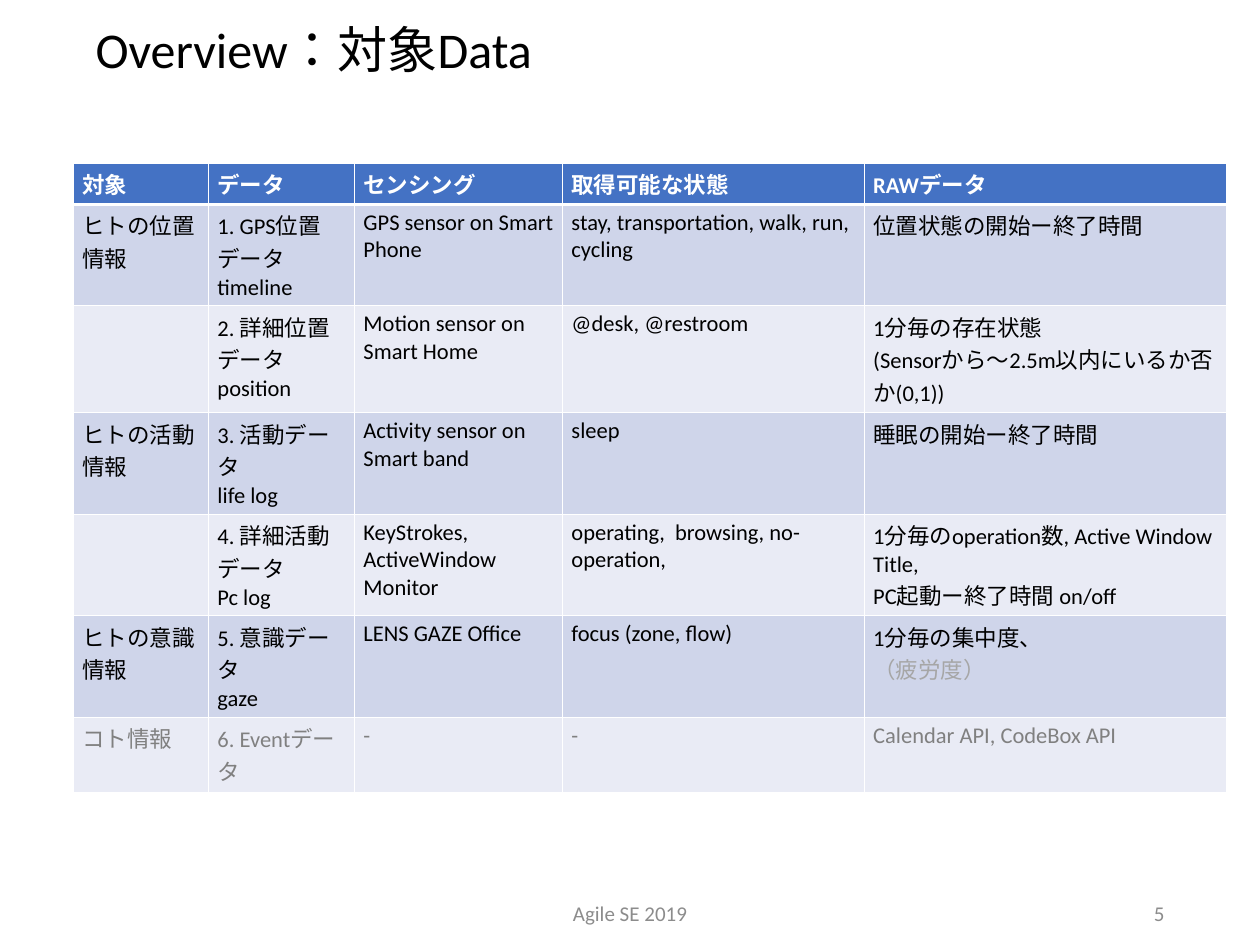
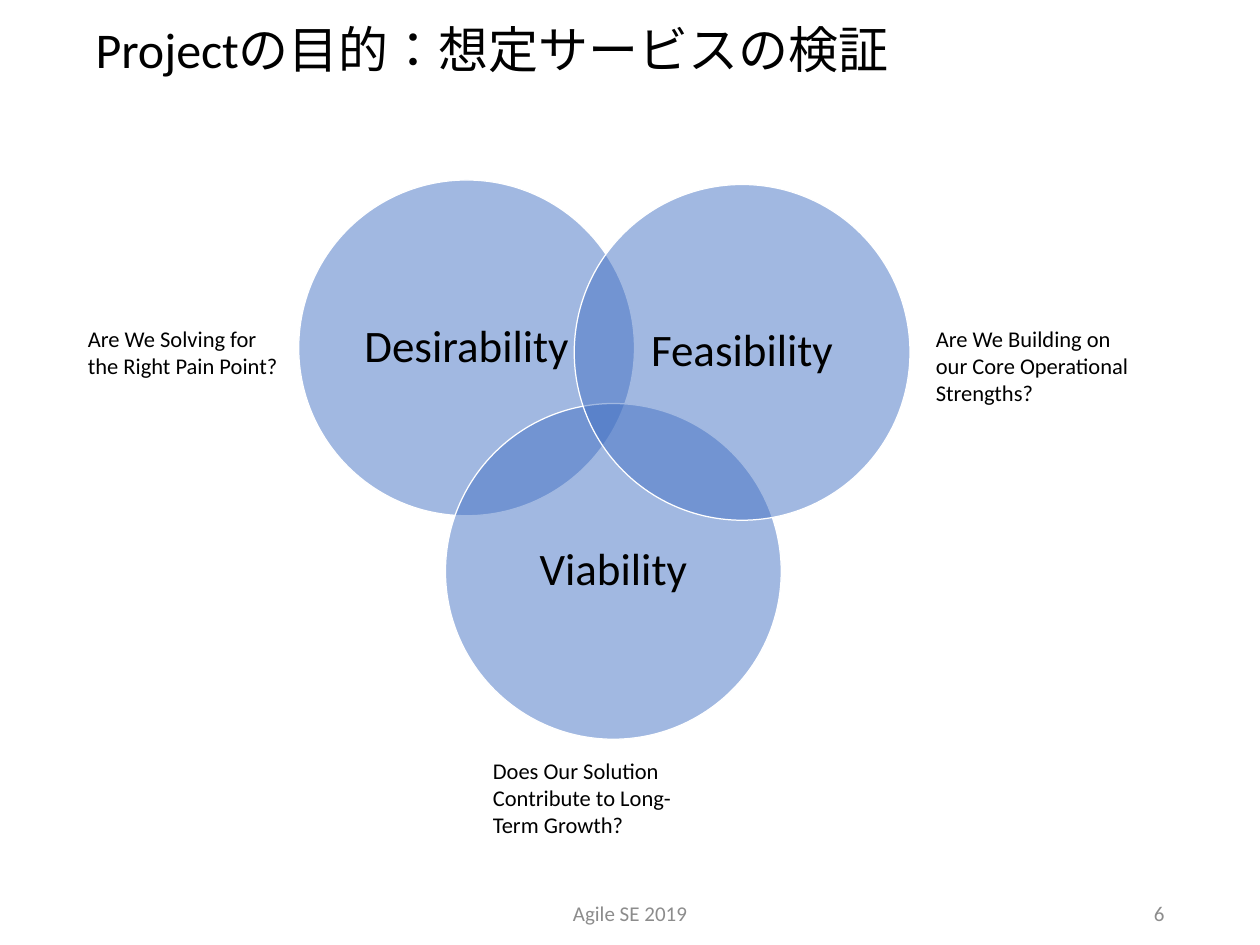
from lxml import etree
from pptx import Presentation
from pptx.dml.color import RGBColor
from pptx.enum import lang, shapes, text
from pptx.oxml.ns import qn
from pptx.util import Pt

FONT = "Calibri"
BLACK, WHITE, BLUE = "000000", "FFFFFF", "4472C4"
BANDS = ["CFD5EA", "E9EBF5"]
FOOTER_GREY, ROW_GREY, PALE_GREY = "8C8C8C", "808080", "A6A6A6"

LEFT, CENTER, RIGHT = text.PP_ALIGN.LEFT, text.PP_ALIGN.CENTER, text.PP_ALIGN.RIGHT
MIDDLE = text.MSO_ANCHOR.MIDDLE
JAPANESE = lang.MSO_LANGUAGE_ID.JAPANESE

TITLE_BOX = (69.4, 8.64, 869, 66.24)
FOOTER_BOX = (334, 720, 340, 21)
NUMBER_BOX = (712, 720, 226.6, 21)
TABLE_BOX = (58.7, 130.6, 922.3, 503.2)
VENN_BOX = (239, 144, 489, 447.2)

HEADINGS = ["対象", "データ", "センシング", "取得可能な状態", "RAWデータ"]
# "\n" starts a paragraph, "\v" breaks a line within one.
DATA_ROWS = [
    ["ヒトの位置情報", "1. GPS位置データ\ntimeline", "GPS sensor on Smart Phone",
     "stay, transportation, walk, run, cycling", "位置状態の開始ー終了時間"],
    ["", "2. 詳細位置データ\vposition", "Motion sensor on Smart Home",
     "@desk, @restroom", "1分毎の存在状態\n(Sensorから～2.5m以内にいるか否か(0,1))"],
    ["ヒトの活動情報", "3. 活動データ\vlife log", "Activity sensor on Smart band",
     "sleep", "睡眠の開始ー終了時間"],
    ["", "4. 詳細活動データ\vPc log", "KeyStrokes, ActiveWindow Monitor",
     "operating,  browsing, no-operation,",
     "1分毎のoperation数, Active Window Title,\nPC起動ー終了時間 on/off"],
    ["ヒトの意識情報", "5. 意識データ\ngaze", "LENS GAZE Office",
     "focus (zone, flow)", "1分毎の集中度、\n（疲労度）"],
    ["コト情報", "6. Eventデータ", "-", "-", "Calendar API, CodeBox API"],
]
COLUMN_WIDTHS = [108.1, 116.8, 166.4, 241.4, 289.6]
ROW_HEIGHTS = [32.8, 81.2, 85.6, 81.2, 81.2, 81.2, 60]

CIRCLE_SIZE = 268.6
# Each circle with its offset inside the diagram.
CIRCLES = [("Desirability", 0, 0), ("Viability", 117.4, 178.8), ("Feasibility", 220.4, 3.6)]
# Each question with its offset from the diagram and its height.
QUESTIONS = [
    ("Are We Solving for the Right Pain Point?", -175.8, 112.3, 51),
    ("Are We Building on our Core Operational Strengths?", 502.6, 112.3, 72.7),
    ("Does Our Solution Contribute to Long-Term Growth?", 148.2, 458.3, 72.7),
]
QUESTION_WIDTH = 171.4


def rgb(color):
    return RGBColor.from_string(color)


def pts(box):
    return [Pt(length) for length in box]


def assign(target, **values):
    for name, value in values.items():
        setattr(target, name, value)


def write(frame, words, size, color=BLACK, bold=False, **paragraph_format):
    frame.text = words
    for paragraph in frame.paragraphs:
        assign(paragraph, **paragraph_format)
        for run in paragraph.runs:
            assign(run.font, name=FONT, size=Pt(size), bold=bold, language_id=JAPANESE)
            run.font.color.rgb = rgb(color)


def add_label(slide, box, words, size, color=BLACK, frame_format=None, **paragraph_format):
    frame = slide.shapes.add_textbox(*pts(box)).text_frame
    assign(frame, word_wrap=True, **(frame_format or {}))
    write(frame, words, size, color, **paragraph_format)


def add_page(deck, title, number):
    """Add a blank slide with the shared title and footer."""
    slide = deck.slides.add_slide(deck.slide_layouts[6])
    middle = {"vertical_anchor": MIDDLE}
    add_label(slide, TITLE_BOX, title, 40, frame_format=middle, line_spacing=0.9)
    for box, words, side in [(FOOTER_BOX, "Agile SE 2019", CENTER),
                             (NUMBER_BOX, str(number), RIGHT)]:
        add_label(slide, box, words, 16.8, FOOTER_GREY, middle, alignment=side)
    return slide


def rule_cell(cell, top, bottom):
    """Draw white cell borders; top and bottom are widths in points."""
    properties = cell._tc.get_or_add_tcPr()
    for side, width in [("L", 1), ("R", 1), ("T", top), ("B", bottom)]:
        line = etree.SubElement(properties, qn("a:ln" + side), w=str(int(Pt(width))))
        fill = etree.SubElement(line, qn("a:solidFill"))
        etree.SubElement(fill, qn("a:srgbClr"), val=WHITE)


def add_data_table(slide, box):
    rows = [HEADINGS] + DATA_ROWS
    table = slide.shapes.add_table(len(rows), len(HEADINGS), *pts(box)).table
    for column, width in zip(table.columns, COLUMN_WIDTHS):
        column.width = Pt(width)
    for r, row in enumerate(rows):
        table.rows[r].height = Pt(ROW_HEIGHTS[r])
        header, last = r == 0, r == len(rows) - 1
        color = WHITE if header else ROW_GREY if last else BLACK
        for c, words in enumerate(row):
            cell = table.cell(r, c)
            rule_cell(cell, top=3 if r == 1 else 1, bottom=3 if header else 1)
            cell.fill.solid()
            cell.fill.fore_color.rgb = rgb(BLUE if header else BANDS[(r - 1) % 2])
            write(cell.text_frame, words, 18, color, bold=header)
    fatigue = table.cell(5, 4).text_frame.paragraphs[1].runs[0]
    fatigue.font.color.rgb = rgb(PALE_GREY)


def add_circle(slide, left, top, words):
    circle = slide.shapes.add_shape(shapes.MSO_SHAPE.OVAL,
                                    *pts((left, top, CIRCLE_SIZE, CIRCLE_SIZE)))
    circle.shadow.inherit = False
    circle.fill.solid()
    circle.fill.fore_color.rgb = rgb(BLUE)
    tint = circle.fill._xPr.find(qn("a:solidFill"))[0]
    etree.SubElement(tint, qn("a:alpha"), val="50000")
    circle.line.color.rgb = rgb(WHITE)
    circle.line.width = Pt(1)
    margins = {"margin_" + side: Pt(10.8) for side in ("left", "top", "right", "bottom")}
    assign(circle.text_frame, word_wrap=True, vertical_anchor=MIDDLE, **margins)
    write(circle.text_frame, words, 36, alignment=CENTER, line_spacing=0.9)


def add_venn(slide, box):
    left, top = box[:2]
    for words, dx, dy in CIRCLES:
        add_circle(slide, left + dx, top + dy, words)
    for words, dx, dy, height in QUESTIONS:
        add_label(slide, (left + dx, top + dy, QUESTION_WIDTH, height), words, 18,
                  frame_format={"auto_size": text.MSO_AUTO_SIZE.SHAPE_TO_FIT_TEXT},
                  alignment=LEFT)


def main():
    deck = Presentation()
    assign(deck, slide_width=Pt(1008), slide_height=Pt(756))
    add_data_table(add_page(deck, "Overview：対象Data", 5), TABLE_BOX)
    add_venn(add_page(deck, "Projectの目的：想定サービスの検証", 6), VENN_BOX)
    deck.save("out.pptx")


if __name__ == "__main__":
    main()
